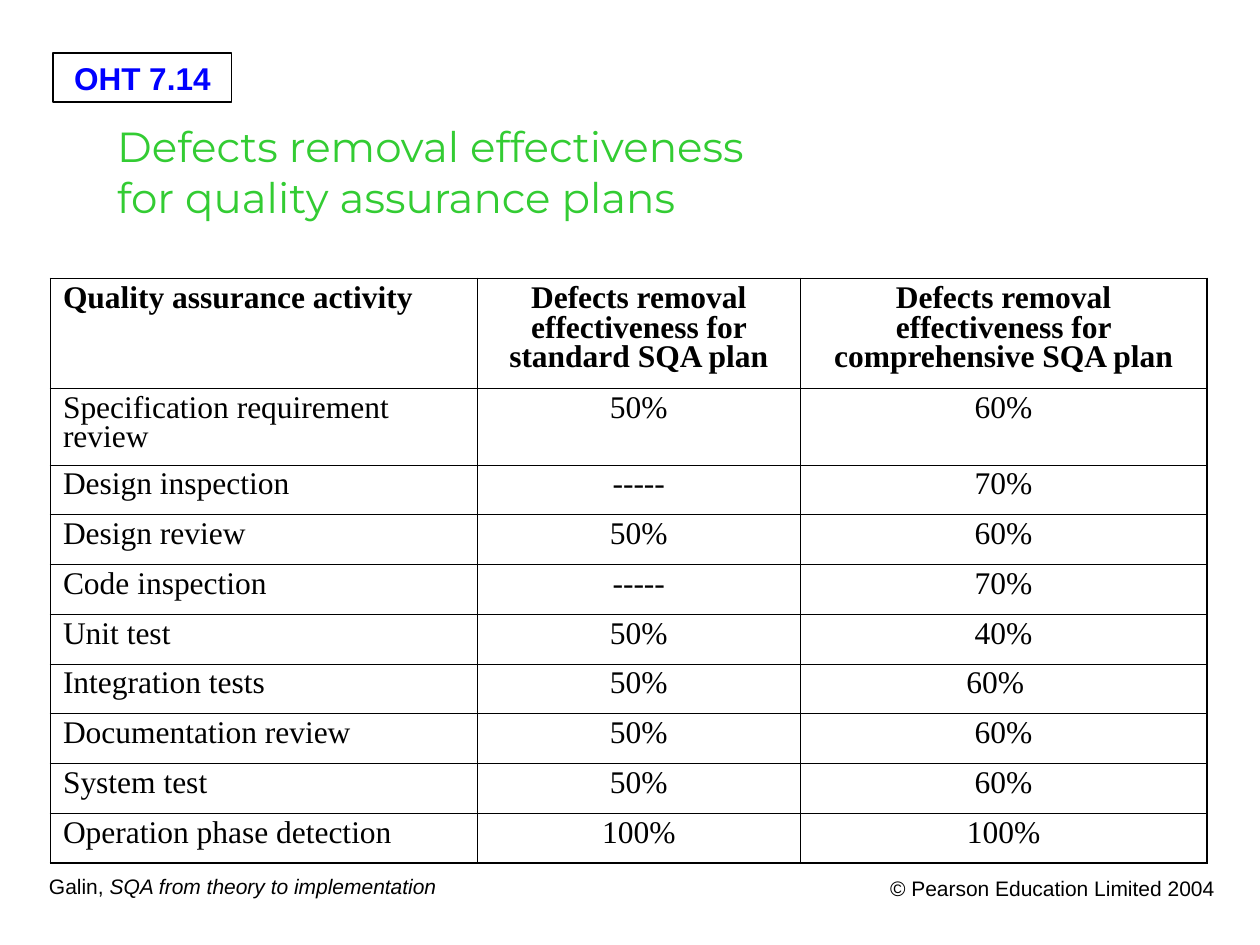
"""Build the slide on defects removal effectiveness for quality assurance plans."""
from lxml.etree import SubElement
from pptx import Presentation
from pptx.dml.color import RGBColor
from pptx.enum.shapes import MSO_SHAPE
from pptx.enum.text import MSO_ANCHOR, MSO_AUTO_SIZE, PP_ALIGN
from pptx.oxml.ns import qn
from pptx.util import Inches, Pt

COLORS = {"ink": "000000", "label": "0000FF", "title": "33CC33"}
TITLE_FONT = {"name": "Montserrat", "size": Pt(24), "bold": False}
LABEL_FONT = {"name": "Arial", "size": Pt(18), "bold": True}
FOOTER_FONT = {"name": "Arial", "size": Pt(12)}
TABLE_FONT = {"name": "Times New Roman", "size": Pt(18)}
ROWS = [
    ("Quality assurance activity",
     "Defects removal effectiveness for standard SQA plan",
     "Defects removal effectiveness for comprehensive SQA plan"),
    ("Specification requirement review", "50%", "60%"),
    ("Design inspection", "-----", "70%"),
    ("Design review", "50%", "60%"),
    ("Code inspection", "-----", "70%"),
    ("Unit test", "50%", "40%"),
    ("Integration tests", "50%", "60%"),
    ("Documentation review", "50%", "60%"),
    ("System test", "50%", "60%"),
    ("Operation phase detection", "100%", "100%"),
]
COLUMN_WIDTHS = [3.39, 2.56, 3.23]
TABLE_HEIGHT = 4.64
TALL_ROWS = [0.87, 0.61]
PLAIN_ROWS = len(ROWS) - len(TALL_ROWS)
ROW_HEIGHTS = TALL_ROWS + [(TABLE_HEIGHT - sum(TALL_ROWS)) / PLAIN_ROWS] * PLAIN_ROWS


def style_font(font, values, color):
    for attribute, value in values.items():
        setattr(font, attribute, value)
    font.color.rgb = RGBColor.from_string(COLORS[color])


def add_border(cell, side, width):
    border = SubElement(cell._tc.get_or_add_tcPr(), qn(f"a:ln{side}"), w=str(Pt(width)))
    solid = SubElement(border, qn("a:solidFill"))
    SubElement(solid, qn("a:srgbClr"), val=COLORS["ink"])


prs = Presentation()
prs.slide_width, prs.slide_height = Inches(10), Inches(7.5)
slide = prs.slides.add_slide(prs.slide_layouts[5])

title = slide.shapes.title
title.left, title.top = Inches(0.83), Inches(0.91)
title.width, title.height = Inches(8.31), Inches(1.18)
title_text = title.text_frame
title_text.text = "Defects removal effectiveness\nfor quality assurance plans"
title_text.auto_size = MSO_AUTO_SIZE.NONE
title_text.word_wrap = False
title_text.vertical_anchor = MSO_ANCHOR.TOP
for paragraph in title_text.paragraphs:
    paragraph.alignment = PP_ALIGN.LEFT
    style_font(paragraph.font, TITLE_FONT, "title")

label = slide.shapes.add_shape(
    MSO_SHAPE.RECTANGLE, Inches(0.42), Inches(0.42), Inches(1.42), Inches(0.39))
label.shadow.inherit = False
label.fill.background()
label.line.color.rgb = RGBColor.from_string(COLORS["ink"])
label.line.width = Pt(0.75)
label.text_frame.word_wrap = False
label_paragraph = label.text_frame.paragraphs[0]
label_paragraph.text = "OHT 7.14"
label_paragraph.alignment = PP_ALIGN.CENTER
style_font(label_paragraph.font, LABEL_FONT, "label")

source = slide.shapes.add_textbox(Inches(0.29), Inches(6.88), Inches(3.28), Inches(0.3))
source.text_frame.word_wrap = False
source.text_frame.auto_size = MSO_AUTO_SIZE.SHAPE_TO_FIT_TEXT
source_paragraph = source.text_frame.paragraphs[0]
for words, italic in [("Galin, ", False), ("SQA from theory to implementation", True)]:
    run = source_paragraph.add_run()
    run.text = words
    style_font(run.font, {**FOOTER_FONT, "italic": italic}, "ink")

rights = slide.shapes.add_textbox(Inches(6.64), Inches(6.9), Inches(3.1), Inches(0.39))
rights.text_frame.word_wrap = True
rights_paragraph = rights.text_frame.paragraphs[0]
rights_paragraph.text = "© Pearson Education Limited 2004"
rights_paragraph.alignment = PP_ALIGN.RIGHT
style_font(rights_paragraph.font, FOOTER_FONT, "ink")

table = slide.shapes.add_table(
    len(ROWS), len(COLUMN_WIDTHS), Inches(0.4), Inches(2.21),
    Inches(sum(COLUMN_WIDTHS)), Inches(TABLE_HEIGHT)).table
table.first_row = table.horz_banding = False
for column, width in zip(table.columns, COLUMN_WIDTHS):
    column.width = Inches(width)
for r, (values, height) in enumerate(zip(ROWS, ROW_HEIGHTS)):
    table.rows[r].height = Inches(height)
    for c, value in enumerate(values):
        cell = table.cell(r, c)
        outer_sides = {"L": c == 0, "R": c == len(values) - 1,
                       "T": r == 0, "B": r == len(ROWS) - 1}
        for side, is_outer in outer_sides.items():
            add_border(cell, side, 1.08 if is_outer else 0.45)
        cell.fill.background()
        cell.text = value
        paragraph = cell.text_frame.paragraphs[0]
        paragraph.alignment = PP_ALIGN.CENTER if c else PP_ALIGN.LEFT
        paragraph.line_spacing = 0.85
        style_font(paragraph.font, {**TABLE_FONT, "bold": r == 0}, "ink")
table.cell(6, 2).margin_right = Inches(0.23)

prs.save("out.pptx")
